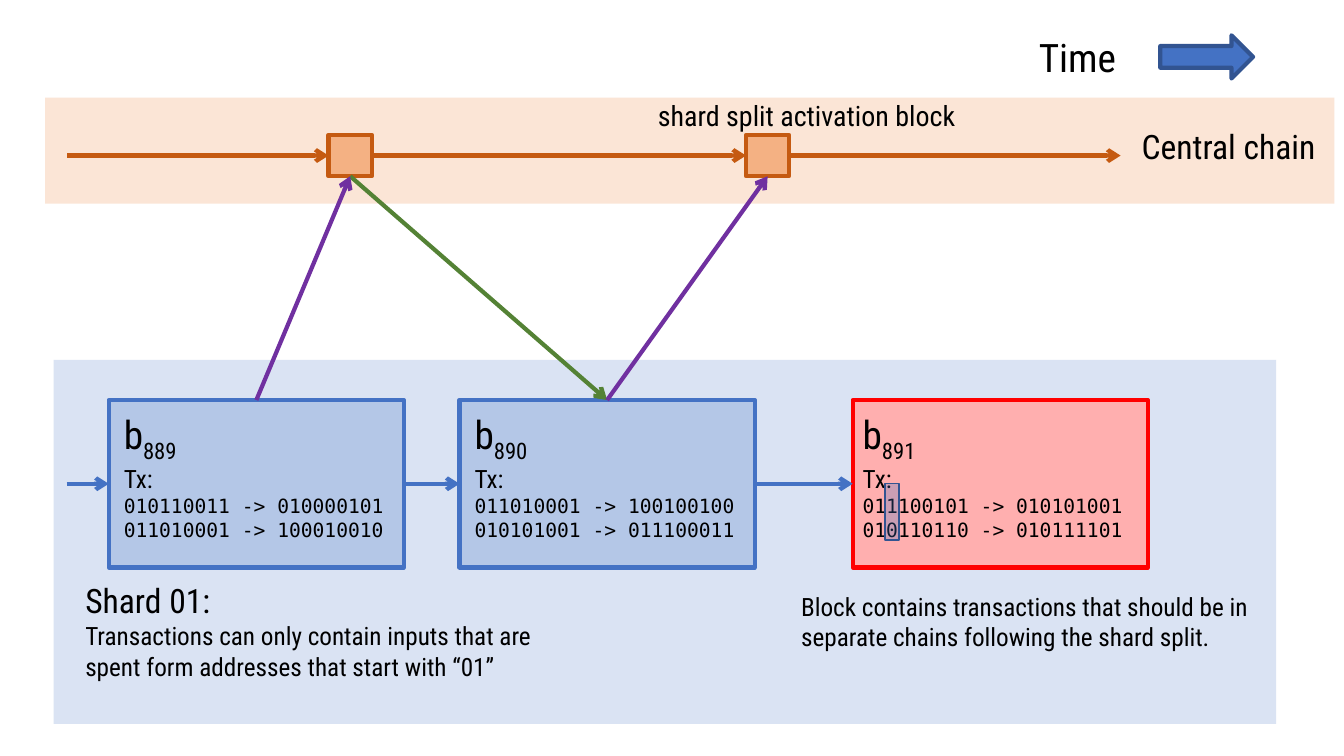
from dataclasses import dataclass
from typing import NamedTuple, Optional

from lxml import etree
from pptx import Presentation
from pptx import util as u
from pptx.dml import color
from pptx.enum import shapes, text
from pptx.oxml import ns


@dataclass(frozen=True)
class Theme:
    sans: str = "Roboto Condensed"
    mono: str = "DejaVu Sans Mono"
    ink: str = "000000"
    central_band: str = "FBE5D6"
    central_block: str = "F4B183"
    central_line: str = "C55A11"
    shard_band: str = "DAE3F3"
    shard_block: str = "B4C7E7"
    shard_line: str = "4472C4"
    split_block: str = "FFAFAF"
    split_line: str = "FF0000"
    accent_edge: str = "325491"
    commit: str = "7030A0"
    confirm: str = "548235"
    title: int = 28
    heading: int = 24
    label: int = 20
    body: int = 18
    code: int = 14
    stroke: int = 3


class Box(NamedTuple):
    left: float
    top: float
    width: float
    height: float


class Run(NamedTuple):
    text: str
    size: int
    font: str
    subscript: bool = False


class Block(NamedTuple):
    number: str
    left: float
    text_left: float
    fill: str
    line: str
    transactions: tuple[str, str]


class End(NamedTuple):
    key: str
    site: int


class Point(NamedTuple):
    x: float
    y: float


class Link(NamedTuple):
    start: End | Point
    end: End | Point
    colour: str


T = Theme()
RECT = shapes.MSO_SHAPE.RECTANGLE
TOP, LEFT, BOTTOM, RIGHT = range(4)
CENTRAL_Y, SHARD_Y = 3.92, 12.19

BLOCKS = [
    Block("889", 2.74, 2.87, T.shard_block, T.shard_line,
          ("010110011 -> 010000101", "011010001 -> 100010010")),
    Block("890", 11.58, 11.71, T.shard_block, T.shard_line,
          ("011010001 -> 100100100", "010101001 -> 011100011")),
    Block("891", 21.49, 21.49, T.split_block, T.split_line,
          ("011100101 -> 010101001", "010110110 -> 010111101")),
]
CENTRAL_LEFTS = {"confirming": 8.28, "activation": 18.8}

LINKS = [
    Link(End("confirming", BOTTOM), End("890", TOP), T.confirm),
    Link(End("889", TOP), End("confirming", BOTTOM), T.commit),
    Link(End("890", TOP), End("activation", BOTTOM), T.commit),
    Link(Point(1.7, CENTRAL_Y), End("confirming", LEFT), T.central_line),
    Link(End("confirming", RIGHT), End("activation", LEFT), T.central_line),
    Link(End("activation", RIGHT), Point(28.24, CENTRAL_Y), T.central_line),
    Link(Point(1.68, SHARD_Y), End("889", LEFT), T.shard_line),
    Link(End("889", RIGHT), End("890", LEFT), T.shard_line),
    Link(End("890", RIGHT), End("891", LEFT), T.shard_line),
]

LABELS = [
    (Box(2.0 - 0.1, 14.5, 12.01, 2.82), [
        [Run("Shard 01:", T.heading, T.sans)],
        [Run("Transactions can only contain inputs that are spent form "
             "addresses that start with “01”", T.body, T.sans)]]),
    (Box(28.52, 3.05, 5.3, 1.27), [[Run("Central chain", T.heading, T.sans)]]),
    (Box(16.33, 2.36, 10.8, 1.12),
     [[Run("shard split activation block", T.label, T.sans)]]),
    (Box(25.93, 0.71, 2.95, 1.45), [[Run("Time", T.title, T.sans)]]),
    (Box(19.94, 14.78, 12.01, 1.8), [
        [Run("Block contains transactions that should be in separate chains "
             "following the shard split.", T.body, T.sans)]]),
]


def rgb(value: str) -> color.RGBColor:
    return color.RGBColor.from_string(value)


def add_box(slide, box: Box, fill: str, line: Optional[str] = None,
            width: float = T.stroke, kind=RECT):
    s = slide.shapes.add_shape(kind, *map(u.Cm, box))
    s.shadow.inherit = False
    s.fill.solid()
    s.fill.fore_color.rgb = rgb(fill)
    if line:
        s.line.color.rgb = rgb(line)
        s.line.width = u.Pt(width)
    else:
        s.line.fill.background()
    return s


def add_label(slide, box: Box, paragraphs: list[list[Run]]) -> None:
    tf = slide.shapes.add_textbox(*map(u.Cm, box)).text_frame
    tf.word_wrap = True
    tf.auto_size = text.MSO_AUTO_SIZE.SHAPE_TO_FIT_TEXT
    for i, runs in enumerate(paragraphs):
        p = tf.add_paragraph() if i else tf.paragraphs[0]
        for run in runs:
            r = p.add_run()
            r.text = run.text
            r.font.name = run.font
            r.font.size = u.Pt(run.size)
            r.font.color.rgb = rgb(T.ink)
            if run.subscript:
                r.font._element.set("baseline", "-25000")


def add_link(slide, link: Link, nodes: dict) -> None:
    points = [u.Cm(v) for end in (link.start, link.end)
              for v in (end if isinstance(end, Point) else (0, 0))]
    c = slide.shapes.add_connector(shapes.MSO_CONNECTOR.STRAIGHT, *points)
    for end, join in ((link.start, c.begin_connect), (link.end, c.end_connect)):
        if isinstance(end, End):
            join(nodes[end.key], end.site)
    c.line.color.rgb = rgb(link.colour)
    c.line.width = u.Pt(T.stroke)
    etree.SubElement(c.line._get_or_add_ln(), ns.qn("a:tailEnd"), type="arrow")
    etree.SubElement(c._element.spPr, ns.qn("a:effectLst"))


def block_text(block: Block) -> list[list[Run]]:
    return [
        [Run("b", T.title, T.sans), Run(block.number, T.title, T.sans, True)],
        [Run("Tx:", T.body, T.sans)],
        *([Run(tx, T.code, T.mono)] for tx in block.transactions),
    ]


def main() -> None:
    prs = Presentation()
    prs.slide_width, prs.slide_height = u.Cm(33.87), u.Cm(19.05)
    slide = prs.slides.add_slide(prs.slide_layouts[6])

    add_box(slide, Box(1.14, 2.46, 32.49, 2.67), T.central_band)
    add_box(slide, Box(1.35, 9.07, 30.81, 9.17), T.shard_band)
    add_box(slide, Box(29.24, 0.89, 2.34, 1.09), T.shard_line, T.accent_edge,
            kind=shapes.MSO_SHAPE.RIGHT_ARROW)

    nodes = {key: add_box(slide, Box(left, 3.4, 1.09, 1.04),
                          T.central_block, T.central_line)
             for key, left in CENTRAL_LEFTS.items()}
    for block in BLOCKS:
        nodes[block.number] = add_box(slide, Box(block.left, 10.08, 7.44, 4.22),
                                      block.fill, block.line)
    for link in LINKS:
        add_link(slide, link, nodes)

    for block in BLOCKS:
        add_label(slide, Box(block.text_left, 10.21, 7.39, 3.43), block_text(block))
    for box, paragraphs in LABELS:
        add_label(slide, box, paragraphs)

    third_bit = add_box(slide, Box(22.3, 12.19, 0.36, 1.42), T.shard_line,
                        T.accent_edge, 1)
    tint = third_bit._element.spPr.find(ns.qn("a:solidFill"))[0]
    etree.SubElement(tint, ns.qn("a:alpha"), val="28000")

    prs.save("out.pptx")


if __name__ == "__main__":
    main()
